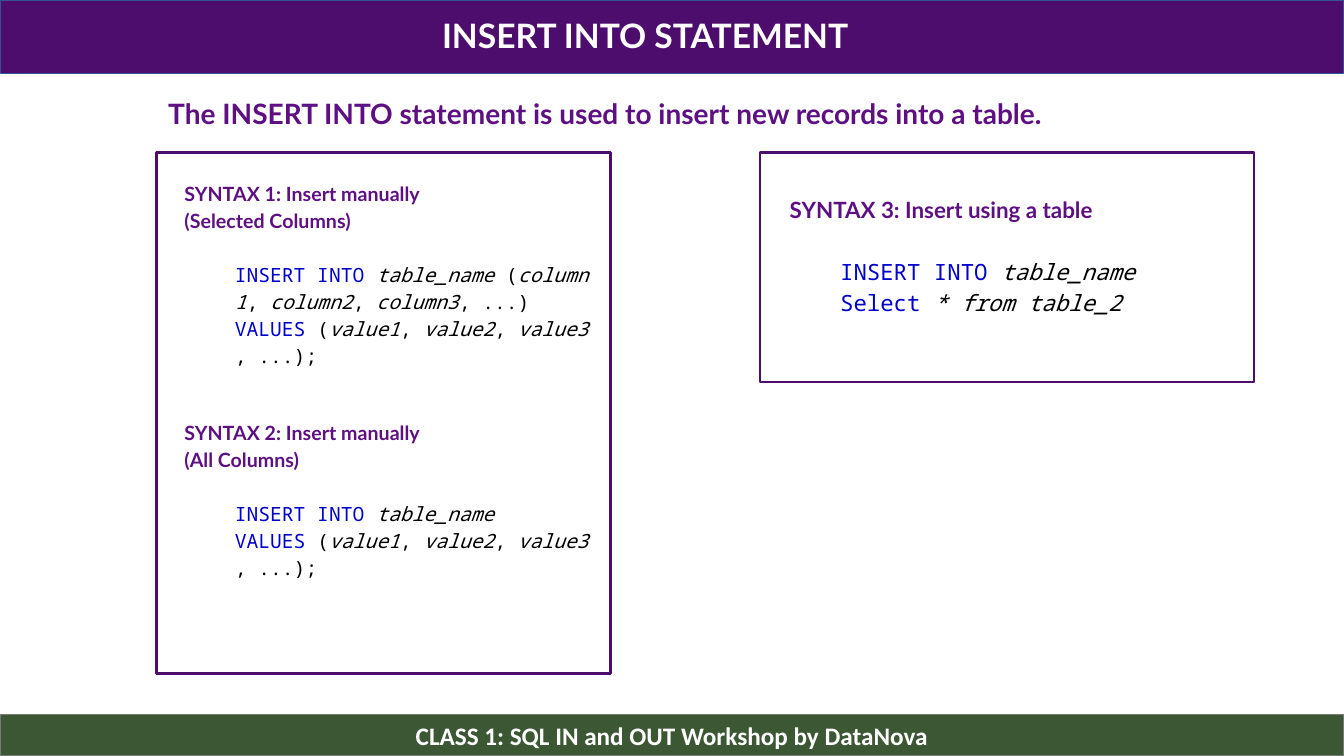
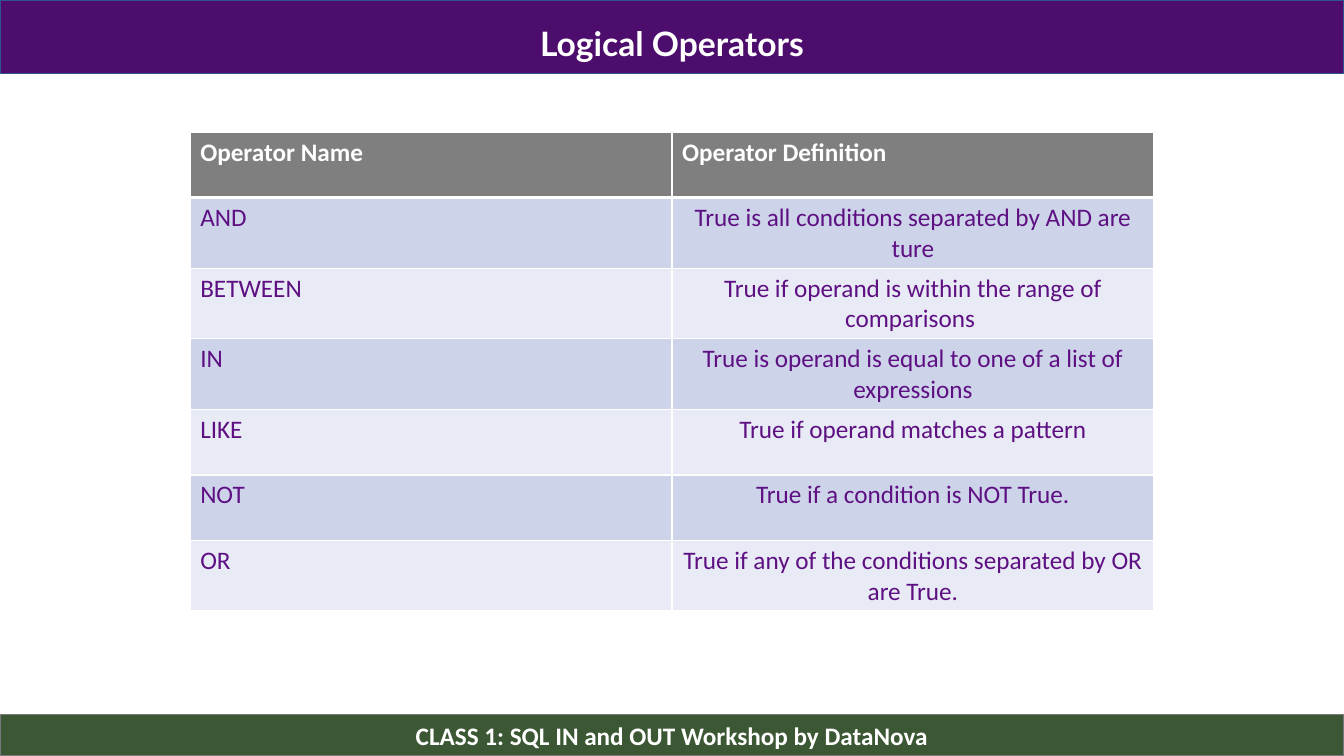
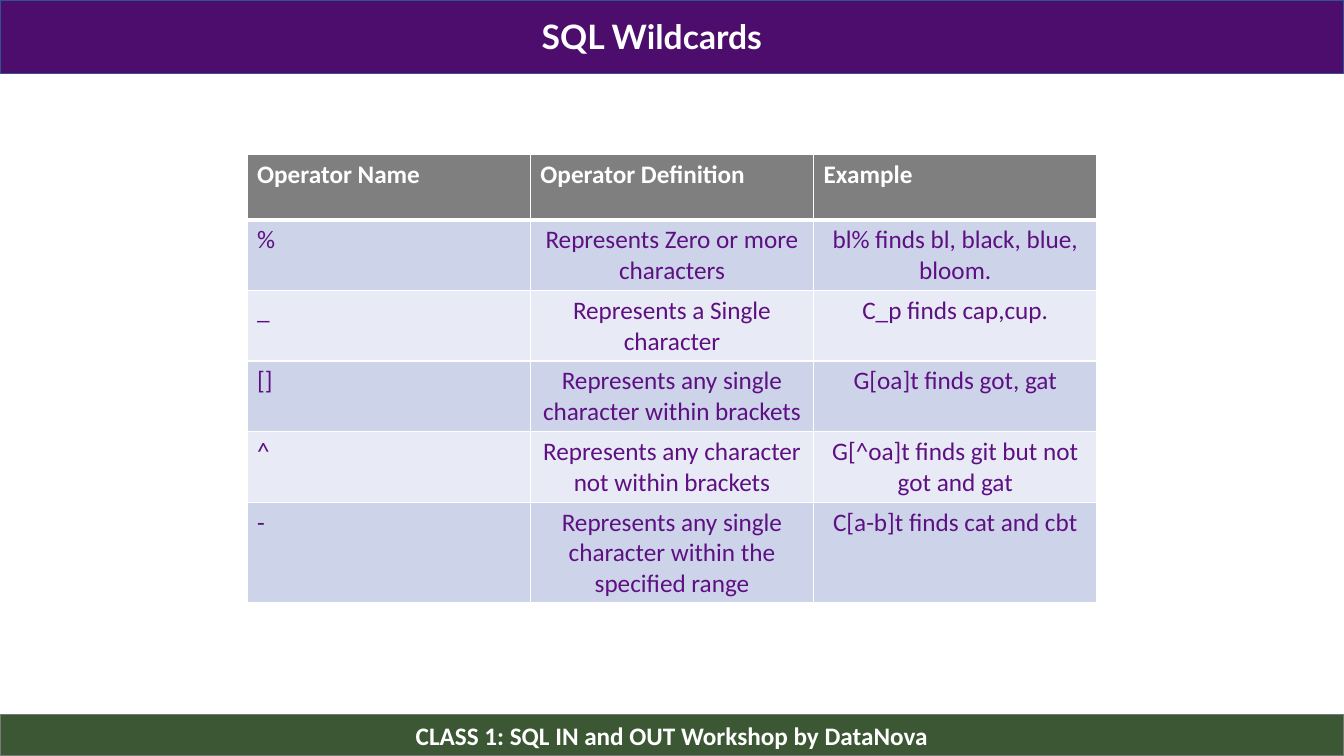
from typing import NamedTuple

from lxml.etree import SubElement
from pptx import Presentation
from pptx.dml.color import RGBColor
from pptx.enum.shapes import MSO_SHAPE
from pptx.enum.text import MSO_ANCHOR, PP_ALIGN
from pptx.oxml.ns import qn
from pptx.util import Inches, Pt

WIDTH, HEIGHT = Inches(13.33), Inches(7.5)
PURPLE, VIOLET, GREEN, WHITE = "4D0D6D", "5E1083", "3C5733", "FFFFFF"
BAND_EDGE, FOOTER_EDGE = "31538F", "787878"
HEADER, STRIPES = "7F7F7F", ("CDD4EA", "E8EBF5")
KEYWORD = {"color": "0000CD"}
NAME = {"color": "000000", "italic": True}
MARK = {"color": "000000"}
FOOTER = "CLASS 1: SQL IN and OUT Workshop by DataNova"
GAP = chr(160)
ROW_HEIGHT = 8.67

INSERT = (f"INSERT{GAP}INTO{GAP}", KEYWORD)
TABLE_NAME = ("table_name", NAME)
VALUES = [("VALUES", KEYWORD), (f"{GAP}(", MARK), ("value1", NAME), (",", MARK),
          (f"{GAP}value2", NAME), (",", MARK), (f"{GAP}value3", NAME), (", ...);", MARK)]
SELECTED_COLUMNS = [INSERT, TABLE_NAME, (f"{GAP}(", MARK), ("column1", NAME), (",", MARK),
                    (f"{GAP}column2", NAME), (",", MARK), (f"{GAP}column3", NAME), (", ...)", MARK)]
SELECT = [("Select ", KEYWORD), ("* from table_2", NAME)]

OPERATORS = [
    ("Operator Name", "Operator Definition"),
    ("AND", "True is all conditions separated by AND are ture"),
    ("BETWEEN", "True if operand is within the range of comparisons "),
    ("IN", "True is operand is equal to one of a list of expressions"),
    ("LIKE", "True if operand matches a pattern"),
    ("NOT", "True if a condition is NOT True."),
    ("OR", "True if any of the conditions separated by OR are True."),
]
WILDCARDS = [
    ("Operator Name", "Operator Definition", "Example"),
    ("%", "Represents Zero or more characters", "bl% finds bl, black, blue, bloom."),
    ("_", "Represents a Single character", "C_p finds cap,cup."),
    ("[]", "Represents any single character within brackets", "G[oa]t finds got, gat"),
    ("^", "Represents any character not within brackets", "G[^oa]t finds git but not got and gat"),
    ("-", "Represents any single character within the specified range", "C[a-b]t finds cat and cbt"),
]


class Box(NamedTuple):
    """A box on a grid of 100 columns by 100 rows covering the slide."""
    left: float
    top: float
    width: float
    height: float

    def inner(self, left, top, width, height):
        """Return the box at the given shares of this one."""
        return Box(self.left + left * self.width, self.top + top * self.height,
                   width * self.width, height * self.height)

    def place(self):
        """Return left, top, width and height in slide units."""
        return [int(share * full / 100) for share, full in zip(self, (WIDTH, HEIGHT) * 2)]


def rgb(value):
    """Turn a hex string into a colour."""
    return RGBColor.from_string(value)


def write(para, text, font="Lato", size=14, color=VIOLET, bold=False, italic=False):
    """Add one formatted span of text to a paragraph."""
    span = para.add_run()
    span.text = text
    span.font.name, span.font.size = font, Pt(size)
    span.font.bold, span.font.italic = bold, italic
    span.font.color.rgb = rgb(color)


def add_text_frame(page, box, inset=0.1):
    """Add a wrapping text box and return its frame."""
    frame = page.shapes.add_textbox(*box.place()).text_frame
    frame.word_wrap = True
    frame.margin_left = frame.margin_right = Inches(0.1)
    frame.margin_top = frame.margin_bottom = Inches(inset)
    return frame


def add_panel(page, box, line, line_width, fill=None):
    """Add a rectangle, hollow unless a fill is given."""
    panel = page.shapes.add_shape(MSO_SHAPE.RECTANGLE, *box.place())
    panel.shadow.inherit = False
    panel.line.color.rgb, panel.line.width = rgb(line), Pt(line_width)
    if fill:
        panel.fill.solid()
        panel.fill.fore_color.rgb = rgb(fill)
    else:
        panel.fill.background()
    return panel


def add_page(deck, title, title_box):
    """Add a slide with its title band and footer band."""
    page = deck.slides.add_slide(deck.slide_layouts[6])
    add_panel(page, Box(0, 0, 100, 9.73), BAND_EDGE, 1, PURPLE)
    footer = add_panel(page, Box(0, 94.53, 100, 5.47), FOOTER_EDGE, 1, GREEN).text_frame
    footer.vertical_anchor = MSO_ANCHOR.MIDDLE
    footer.paragraphs[0].alignment = PP_ALIGN.CENTER
    write(footer.paragraphs[0], FOOTER, font="Calibri", size=18, color=WHITE, bold=True)
    para = add_text_frame(page, title_box, inset=0.05).paragraphs[0]
    para.alignment = PP_ALIGN.CENTER
    write(para, title, size=24, color=WHITE, bold=True)
    return page


def add_syntax(page, box, headings, code, size=14):
    """Write bold headings followed by indented lines of code."""
    frame = add_text_frame(page, box)
    lines = [[(heading, {"bold": True})] for heading in headings]
    for index, line in enumerate(lines + code):
        para = frame.add_paragraph() if index else frame.paragraphs[0]
        para.line_spacing = 1.15
        is_code = index >= len(headings)
        if is_code:
            para.level = 1
            para._p.get_or_add_pPr().set("marL", str(Inches(0.5)))
            para._p.get_or_add_pPr().set("indent", "0")
        if index == len(headings):
            para.space_before = Pt(1.38 * size)
        for text, style in line:
            write(para, text, font="Noto Sans Mono" if is_code else "Lato", size=size, **style)


def set_borders(cell, bottom):
    """Draw white cell borders, with a bottom border of the given width."""
    properties = cell._tc.get_or_add_tcPr()
    for side, width in (("L", 1), ("R", 1), ("T", 1), ("B", bottom)):
        line = SubElement(properties, qn(f"a:ln{side}"), w=str(Pt(width)))
        SubElement(SubElement(line, qn("a:solidFill")), qn("a:srgbClr"), val=WHITE)


def add_grid(page, top, width, rows):
    """Add a centred table with a grey header and striped rows."""
    box = Box((100 - width) / 2, top, width, ROW_HEIGHT * len(rows))
    table = page.shapes.add_table(len(rows), len(rows[0]), *box.place()).table
    for row, texts in enumerate(rows):
        for column, text in enumerate(texts):
            cell = table.cell(row, column)
            set_borders(cell, 1 if row else 3)
            cell.fill.solid()
            cell.fill.fore_color.rgb = rgb(STRIPES[(row - 1) % 2] if row else HEADER)
            para = cell.text_frame.paragraphs[0]
            para.alignment = PP_ALIGN.CENTER if row and column else PP_ALIGN.LEFT
            write(para, text, font="Calibri", size=18, color=VIOLET if row else WHITE, bold=not row)


def add_insert_page(deck):
    """Build the slide on the three forms of INSERT INTO."""
    page = add_page(deck, "INSERT INTO STATEMENT ", Box(20.18, 1.33, 56.18, 7.5))
    para = add_text_frame(page, Box(11.78, 10.8, 82.65, 7.87)).paragraphs[0]
    para.line_spacing = 1.15
    write(para, "The INSERT INTO statement is used to insert new records into a table.", size=20, bold=True)
    manual, from_table = Box(11.63, 20.13, 33.83, 68.93), Box(56.55, 20.13, 36.75, 30.4)
    for panel in (manual, from_table):
        add_panel(page, panel, PURPLE, 2)
    add_syntax(page, manual.inner(0.04, 0.03, 0.94, 0.45),
               ["SYNTAX 1: Insert manually", "(Selected Columns)"], [SELECTED_COLUMNS, VALUES])
    add_syntax(page, manual.inner(0.04, 0.49, 0.94, 0.4),
               ["SYNTAX 2: Insert manually", "(All Columns)"], [[INSERT, TABLE_NAME], VALUES])
    add_syntax(page, from_table.inner(0.04, 0.13, 0.95, 0.6),
               ["SYNTAX 3: Insert using a table"], [[INSERT, TABLE_NAME], SELECT], size=16)


def main():
    """Build and save the deck."""
    deck = Presentation()
    deck.slide_width, deck.slide_height = WIDTH, HEIGHT
    add_insert_page(deck)
    add_grid(add_page(deck, "Logical Operators", Box(25, 2.4, 50, 6.67)), 17.47, 71.7, OPERATORS)
    add_grid(add_page(deck, "SQL Wildcards", Box(23.5, 1.47, 50, 6.67)), 20.4, 63.23, WILDCARDS)
    deck.save("out.pptx")


if __name__ == "__main__":
    main()
